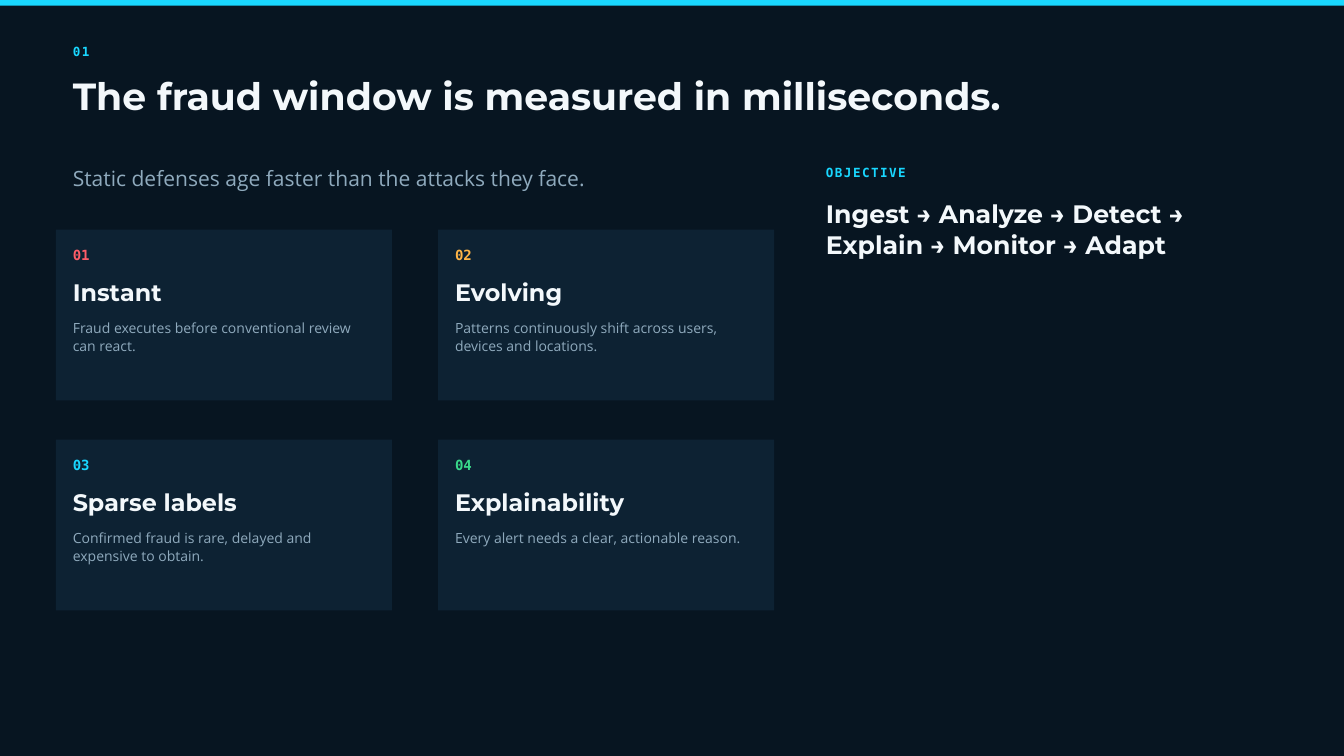
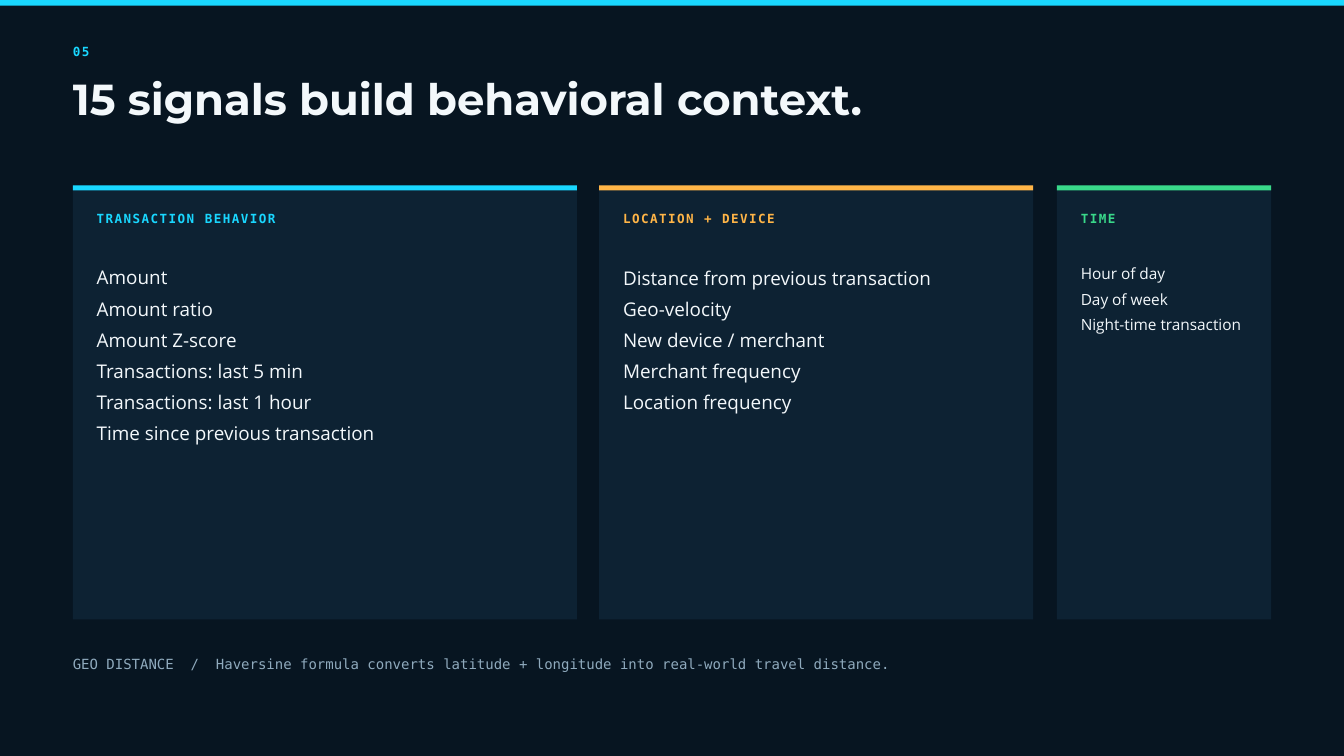
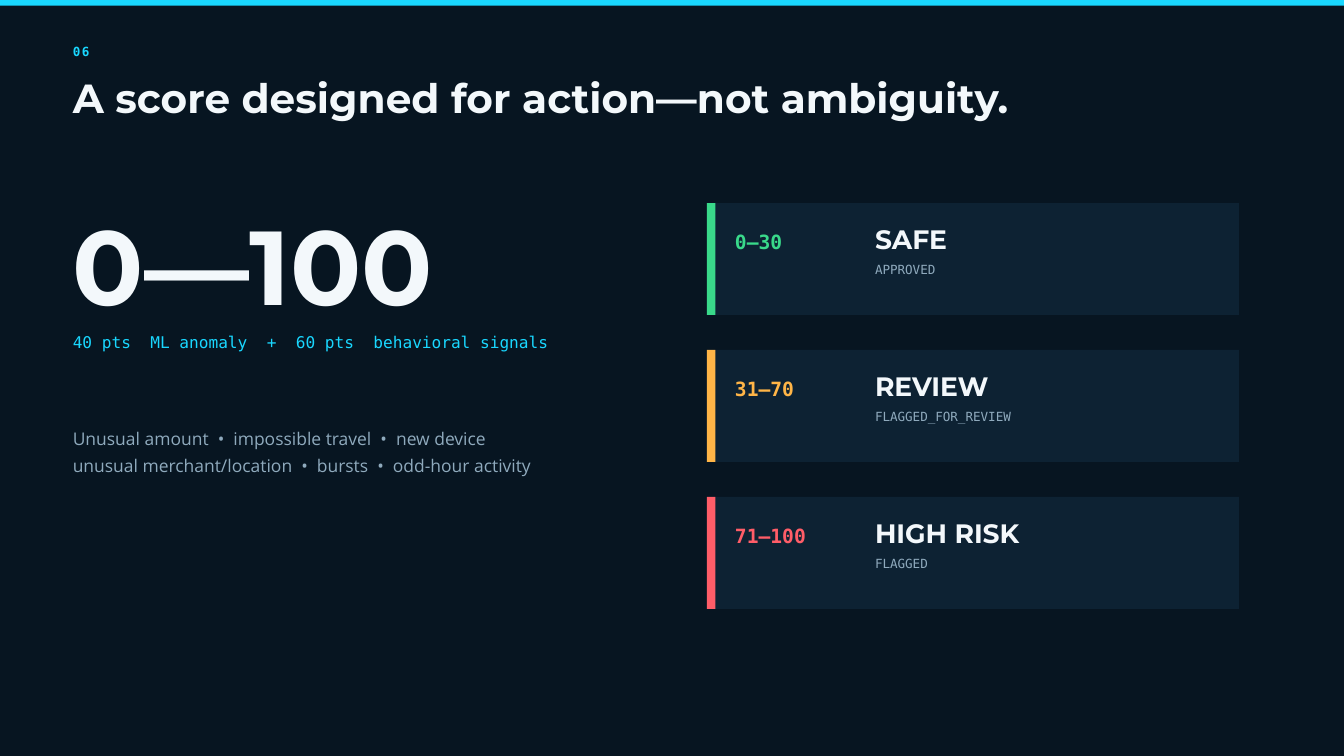
from pptx import Presentation
from pptx.dml.color import RGBColor as Rgb
from pptx.enum.shapes import MSO_SHAPE as Shape
from pptx.enum.text import MSO_AUTO_SIZE as Fit
from pptx.util import Inches, Pt

# Grid of the slide
COLS, ROWS = 192, 108
LEFT = 10.4

HUES = {
    "night": "071521", "panel": "0D2233", "white": "F3F8FB", "mist": "8FAABD",
    "cyan": "19D7FF", "amber": "FFB547", "green": "39D98A", "red": "FF5D68",
}

MONO, HEAD, BODY = "DejaVu Sans Mono", "Montserrat", "Open Sans"

# Text styles: font, size, bold, hue, line height as a share of the size
STYLES = {
    "label": (MONO, 13.5, True, "cyan", 1.4),
    "index": (MONO, 15, True, "cyan", 1.4),
    "range": (MONO, 21, True, "cyan", 1.4),
    "state": (MONO, 13.5, False, "mist", 1.4),
    "note": (MONO, 15, False, "mist", 1.4),
    "sum": (MONO, 17.25, False, "cyan", 1.4),
    "title": (HEAD, 40.5, True, "white", 1.08),
    "goal": (HEAD, 27, True, "white", 1.25),
    "name": (HEAD, 25.5, True, "white", 1.15),
    "level": (HEAD, 28.5, True, "white", 1.4),
    "score": (HEAD, 112.5, True, "white", 1.4),
    "lead": (BODY, 22.5, False, "mist", 1.4),
    "body": (BODY, 15, False, "mist", 1.3),
    "list": (BODY, 20.25, False, "white", 1.65),
    "cause": (BODY, 18.75, False, "mist", 1.55),
}
TRACK = {"label": "160"}
FRAME = {
    "margin_left": 0, "margin_top": 0, "margin_right": 0, "margin_bottom": 0,
    "word_wrap": True, "auto_size": Fit.SHAPE_TO_FIT_TEXT,
}


class Deck:
    def __init__(self):
        self.prs = Presentation()
        self.prs.slide_width, self.prs.slide_height = Inches(20), Inches(11.25)
        self.slide = None

    def x(self, cols):
        return round(self.prs.slide_width * cols / COLS)

    def y(self, rows):
        return round(self.prs.slide_height * rows / ROWS)

    def page(self, index, title, size):
        """Start a slide with its number, title and top band."""
        self.slide = self.prs.slides.add_slide(self.prs.slide_layouts[6])
        fill = self.slide.background.fill
        fill.solid()
        fill.fore_color.rgb = Rgb.from_string(HUES["night"])
        self.text("label", index, LEFT, 5.9, 10)
        self.text("title", title, LEFT, 11.05, 135, size=size)
        self.block(0, 0, COLS, 0.8, "cyan")

    def block(self, left, top, wide, high, hue="panel"):
        box = self.slide.shapes.add_shape(
            Shape.RECTANGLE, self.x(left), self.y(top), self.x(wide), self.y(high))
        box.shadow.inherit = False
        box.fill.solid()
        box.fill.fore_color.rgb = Rgb.from_string(HUES[hue])
        box.line.fill.background()

    def text(self, style, words, left, top, wide, hue=None, size=None, lines=None):
        """Add a text box; each line of words is a paragraph."""
        face, base, bold, tone, ratio = STYLES[style]
        size = size or base
        parts = words.split("\n")
        high = Pt(size * ratio * (lines or len(parts)))
        box = self.slide.shapes.add_textbox(
            self.x(left), self.y(top), self.x(wide), high)
        frame = box.text_frame
        for key, val in FRAME.items():
            setattr(frame, key, val)
        form = {"name": face, "size": Pt(size), "bold": bold}
        for i, part in enumerate(parts):
            para = frame.add_paragraph() if i else frame.paragraphs[0]
            para.line_spacing = Pt(size * ratio)
            run = para.add_run()
            run.text = part
            for key, val in form.items():
                setattr(run.font, key, val)
            run.font.color.rgb = Rgb.from_string(HUES[hue or tone])
            if style in TRACK:
                run._r.get_or_add_rPr().set("spc", TRACK[style])

    def card(self, left, top, index, name, words, hue, lines):
        """Numbered card for one threat."""
        self.block(left, top, 48, 24.4)
        left += 2.4
        self.text("index", index, left, top + 2, 9, hue)
        self.text("name", name, left, top + 7, 42)
        self.text("body", words, left, top + 12.6, 43, lines=lines)

    def panel(self, left, wide, label, words, hue, size):
        """Tall panel listing one family of signals."""
        top, pad = 26.5, 3.4
        self.block(left, top, wide, 62)
        self.block(left, top, wide, 0.7, hue)
        self.text("label", label, left + pad, top + 3.3, wide - 2 * pad, hue)
        self.text("list", words, left + pad, top + 10.3, wide - 2 * pad, size=size)

    def band(self, top, span, level, state, hue):
        """Score band with its decision."""
        left = 101
        self.block(left, top, 76, 16)
        self.block(left, top, 1.2, 16, hue)
        self.text("range", span, left + 4, top + 3.3, 18, hue)
        self.text("level", level, left + 24, top + 2.1, 33)
        self.text("state", state, left + 24, top + 8.1, 43)


def threats(deck):
    deck.page("01", "The fraud window is measured in milliseconds.", 40.5)
    deck.text("lead", "Static defenses age faster than the attacks they face.",
              LEFT, 23.1, 92)
    deck.text("label", "OBJECTIVE", 118, 23.2, 30)
    deck.text("goal", "Ingest → Analyze → Detect → Explain → Monitor → Adapt",
              118, 28.1, 62, lines=2)
    cards = [
        ("Instant", "Fraud executes before conventional review can react.", "red", 2),
        ("Evolving", "Patterns continuously shift across users, devices and locations.",
         "amber", 2),
        ("Sparse labels", "Confirmed fraud is rare, delayed and expensive to obtain.",
         "cyan", 2),
        ("Explainability", "Every alert needs a clear, actionable reason.", "green", 1),
    ]
    for i, (name, words, hue, lines) in enumerate(cards):
        row, col = divmod(i, 2)
        deck.card(8 + 54.6 * col, 32.8 + 30 * row, f"{i + 1:02}",
                  name, words, hue, lines)


def signals(deck):
    deck.page("05", "15 signals build behavioral context.", 46.5)
    panels = [
        (LEFT, 72, "TRANSACTION BEHAVIOR",
         "Amount\nAmount ratio\nAmount Z-score\nTransactions: last 5 min\n"
         "Transactions: last 1 hour\nTime since previous transaction", "cyan", 20.25),
        (85.6, 62, "LOCATION + DEVICE",
         "Distance from previous transaction\nGeo-velocity\nNew device / merchant\n"
         "Merchant frequency\nLocation frequency", "amber", 20.25),
        (151, 30.6, "TIME",
         "Hour of day\nDay of week\nNight-time transaction", "green", 16.5),
    ]
    for item in panels:
        deck.panel(*item)
    deck.text("note", "GEO DISTANCE  /  Haversine formula converts latitude + "
              "longitude into real-world travel distance.", LEFT, 93.3, 170)


def scores(deck):
    deck.page("06", "A score designed for action—not ambiguity.", 43.5)
    deck.text("score", "0—100", LEFT, 25.7, 70)
    deck.text("sum", "40 pts  ML anomaly  +  60 pts  behavioral signals",
              LEFT, 47.1, 79)
    deck.text("cause", "Unusual amount  •  impossible travel  •  new device\n"
              "unusual merchant/location  •  bursts  •  odd-hour activity",
              LEFT, 60.3, 78)
    bands = [
        ("0–30", "SAFE", "APPROVED", "green"),
        ("31–70", "REVIEW", "FLAGGED_FOR_REVIEW", "amber"),
        ("71–100", "HIGH RISK", "FLAGGED", "red"),
    ]
    for i, item in enumerate(bands):
        deck.band(29 + 21 * i, *item)


def main():
    deck = Deck()
    for build in (threats, signals, scores):
        build(deck)
    deck.prs.save("out.pptx")


if __name__ == "__main__":
    main()
